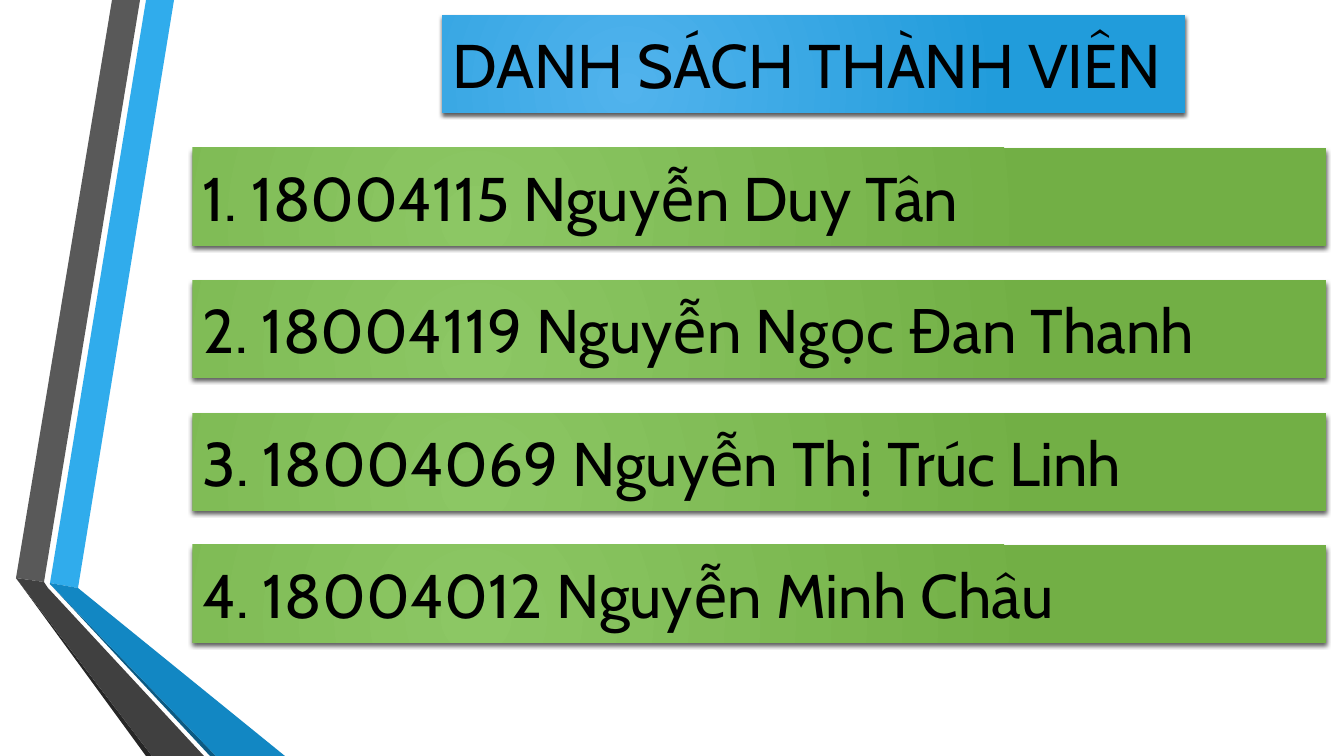
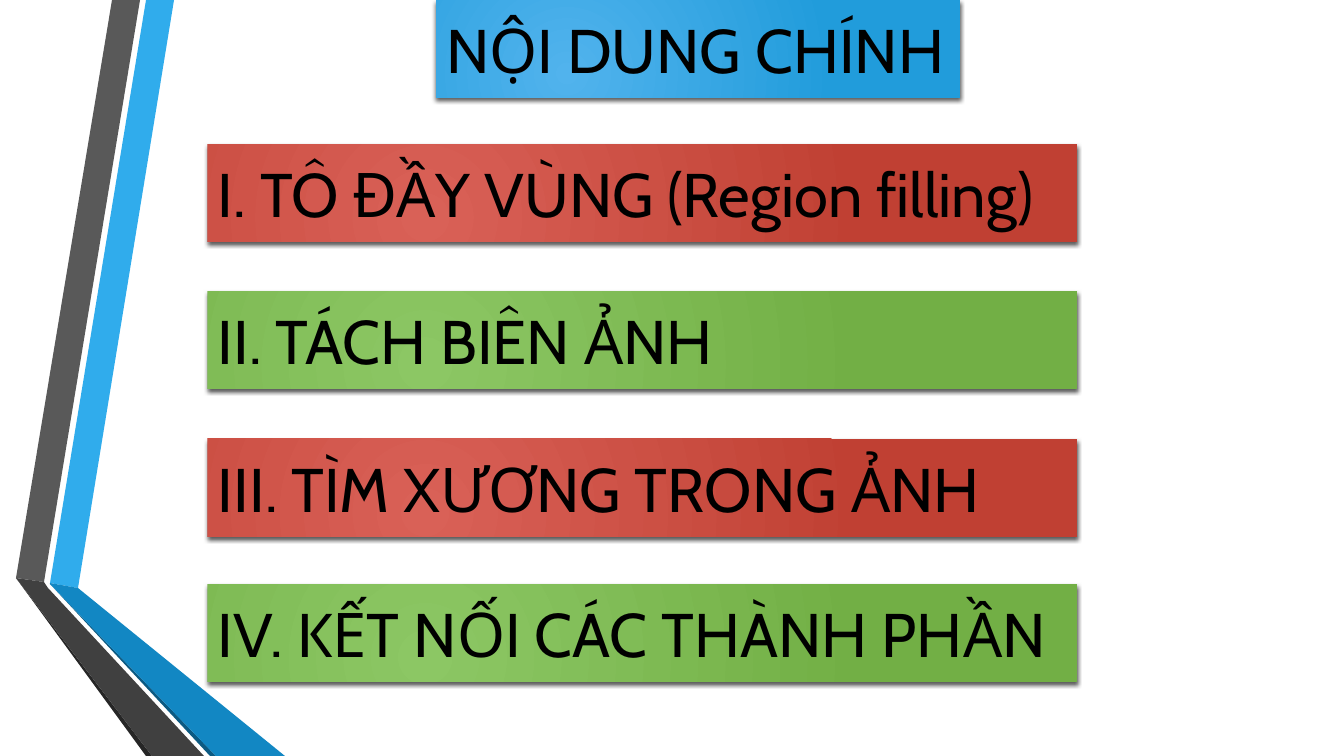
from lxml import etree
from pptx import Presentation
from pptx.dml.color import RGBColor
from pptx.enum.shapes import MSO_SHAPE
from pptx.enum.text import MSO_ANCHOR, MSO_AUTO_SIZE, PP_ALIGN
from pptx.util import Pt

RECT = MSO_SHAPE.RECTANGLE
LEFT = PP_ALIGN.LEFT
MIDDLE = MSO_ANCHOR.MIDDLE
NO_FIT = MSO_AUTO_SIZE.NONE

# Shared look
PX = 914400 / 100.8
WIDE, HIGH = 1344, 756
BAR = 98
FONT, SIZE, INK = "Cabin", 44, "000000"
BLUE = ("51B3ED", "219CDB")
GREEN = ("8CC764", "72AF45")
RED = ("D96157", "C04033")

# Ribbon pieces, from back to front
RIBBON = [
    ("30ACEC", [(50, 583), (78, 588), (174, 0), (146, 0)]),
    ("595959", [(140, 0), (112, 0), (16, 578), (44, 582)]),
    ("262626", [(16, 578), (146, 756), (152, 756)]),
    ("0C5A82", [(50, 584), (210, 756), (216, 756)]),
    ("1287C3", [(50, 583), (50, 584), (216, 756), (285, 756), (78, 588)]),
    ("404040", [(204, 756), (48, 588), (44, 582), (16, 578), (152, 756)]),
]

# Content: title with its left, top, width; bars with shared left and width
SLIDES = [
    {
        "title": ("DANH SÁCH THÀNH VIÊN", 442, 15, 743),
        "left": 193, "width": 1133,
        "bars": [
            (148, GREEN, "1. 18004115 Nguyễn Duy Tân"),
            (280, GREEN, "2. 18004119 Nguyễn Ngọc Đan Thanh"),
            (413, GREEN, "3. 18004069 Nguyễn Thị Trúc Linh"),
            (545, GREEN, "4. 18004012 Nguyễn Minh Châu"),
        ],
    },
    {
        "title": ("NỘI DUNG CHÍNH", 436, 0, 524),
        "left": 208, "width": 869,
        "bars": [
            (144, RED, "I. TÔ ĐẦY VÙNG (Region filling)"),
            (291, GREEN, "II. TÁCH BIÊN ẢNH"),
            (439, RED, "III. TÌM XƯƠNG TRONG ẢNH"),
            (584, GREEN, "IV. KẾT NỐI CÁC THÀNH PHẦN"),
        ],
    },
]

# Glow fill, no outline, soft shadow below
LOOK = """<a:look xmlns:a="http://schemas.openxmlformats.org/drawingml/2006/main">
<a:gradFill rotWithShape="1"><a:gsLst>
<a:gs pos="0"><a:srgbClr val="{}"/></a:gs>
<a:gs pos="100000"><a:srgbClr val="{}"/></a:gs></a:gsLst>
<a:path path="circle">
<a:fillToRect l="50000" t="100000" r="100000" b="50000"/></a:path></a:gradFill>
<a:ln><a:noFill/></a:ln>
<a:effectLst><a:outerShdw blurRad="38100" dist="25400" dir="5400000" rotWithShape="0">
<a:srgbClr val="000000"><a:alpha val="64000"/></a:srgbClr></a:outerShdw></a:effectLst>
</a:look>"""


def px(num):
    return round(num * PX)


def color(code):
    return RGBColor.from_string(code)


def style(shape, text, tones):
    """Give a title or bar its glow, shadow and text."""
    for part in list(etree.fromstring(LOOK.format(*tones))):
        shape.element.spPr.append(part)
    frame = shape.text_frame
    frame.text = text
    frame.word_wrap = True
    frame.auto_size = NO_FIT
    frame.vertical_anchor = MIDDLE
    para = frame.paragraphs[0]
    para.alignment = LEFT
    font = para.runs[0].font
    font.name, font.size = FONT, Pt(SIZE)
    font.color.rgb = color(INK)


def add_ribbon(slide, layout):
    """Draw the ribbon and move it behind everything on the layout."""
    for i, (fill, points) in enumerate(RIBBON):
        pen = slide.shapes.build_freeform(*points[0], scale=PX)
        pen.add_line_segments(points[1:], close=True)
        piece = pen.convert_to_shape()
        piece.fill.solid()
        piece.fill.fore_color.rgb = color(fill)
        piece.line.fill.background()
        piece.shadow.inherit = False
        piece.element.nvSpPr.cNvPr.set("id", str(20 + i))
        layout.shapes.element.insert(2 + i, piece.element)


def add_slide(deck, layout, data):
    slide = deck.slides.add_slide(layout)
    text, left, top, width = data["title"]
    title = slide.shapes.title
    title.left, title.top = px(left), px(top)
    title.width, title.height = px(width), px(BAR)
    style(title, text, BLUE)
    for top, tones, text in data["bars"]:
        bar = slide.shapes.add_shape(
            RECT, px(data["left"]), px(top), px(data["width"]), px(BAR))
        style(bar, text, tones)
    return slide


def main():
    deck = Presentation()
    deck.slide_width, deck.slide_height = px(WIDE), px(HIGH)
    layout = deck.slide_layouts[5]
    slides = [add_slide(deck, layout, data) for data in SLIDES]
    add_ribbon(slides[0], layout)
    deck.save("out.pptx")


if __name__ == "__main__":
    main()
